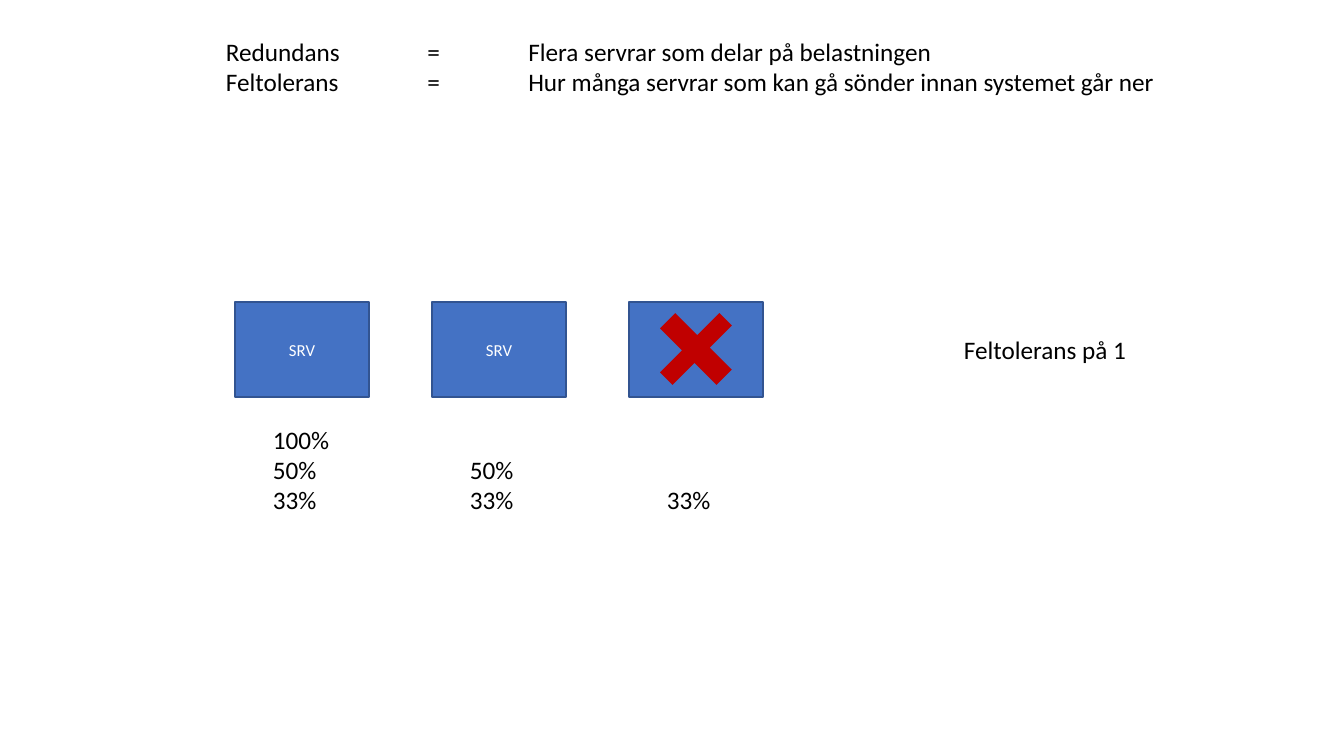
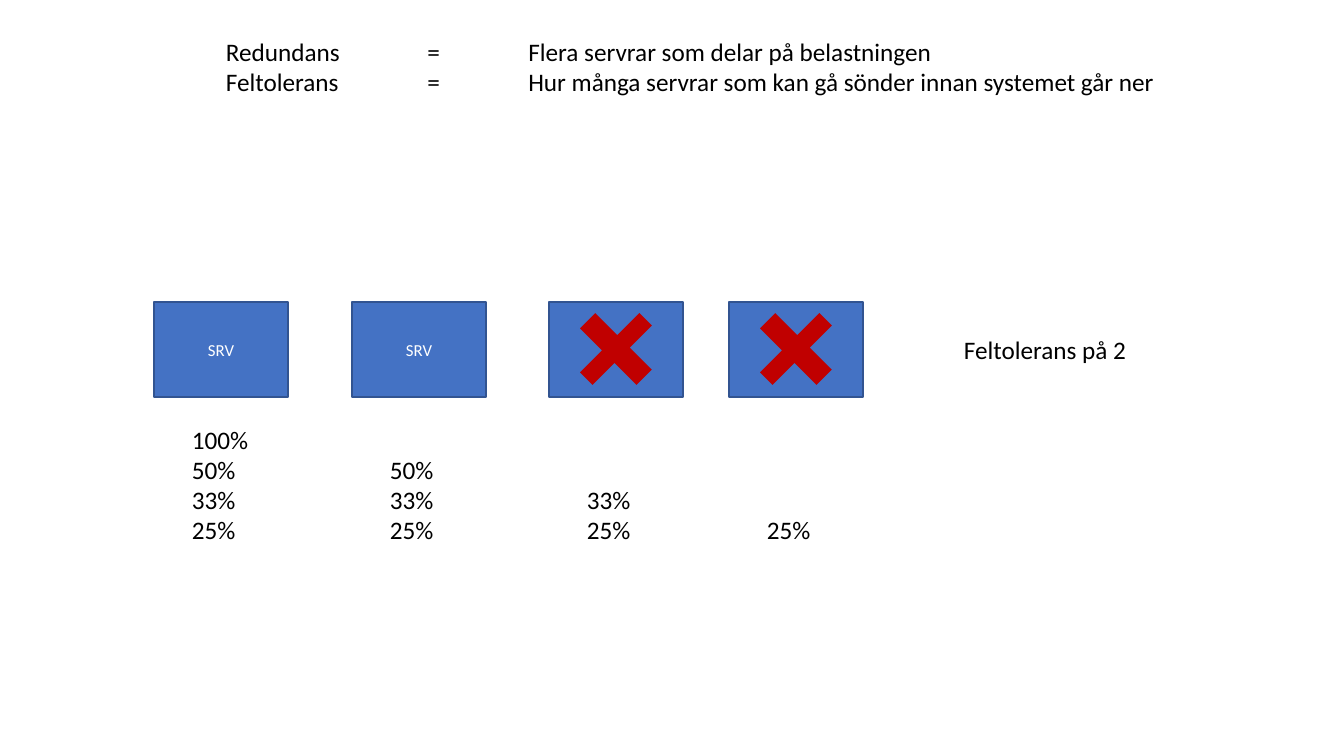
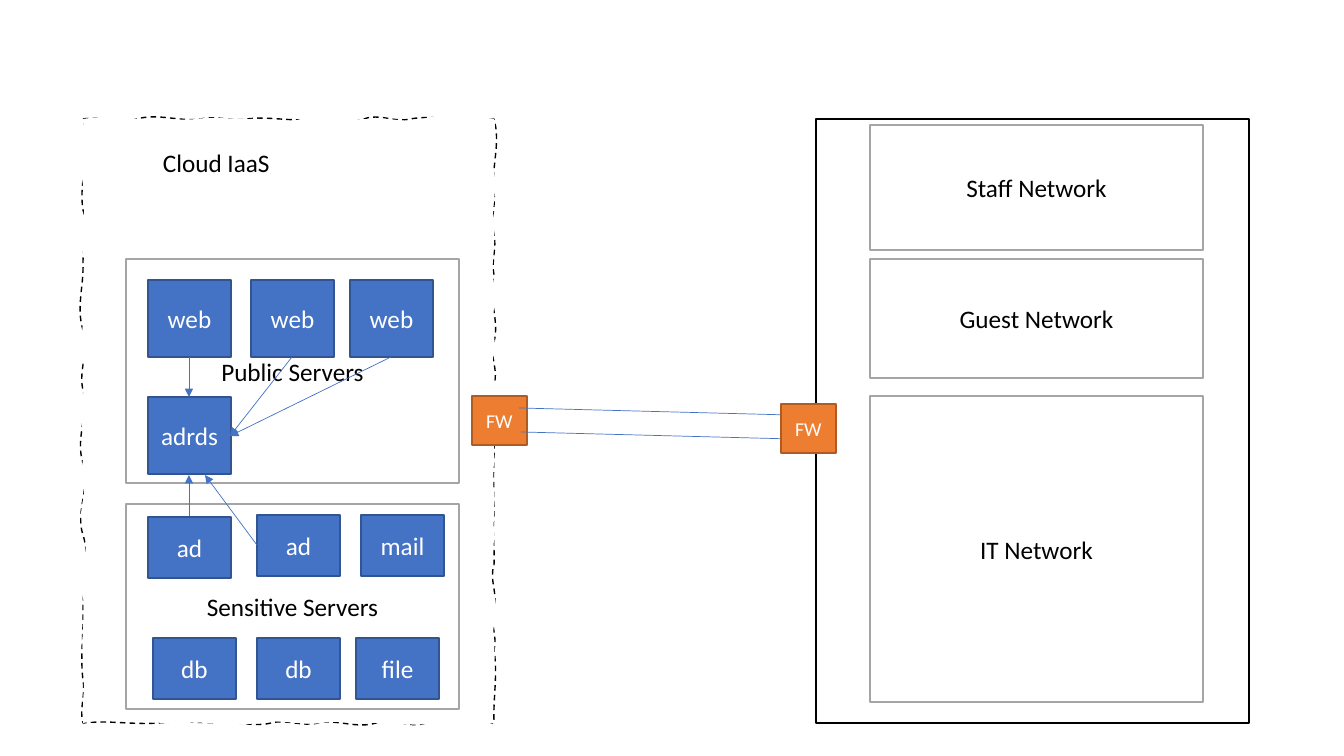
from lxml import etree
from pptx import Presentation
from pptx.dml.color import RGBColor
from pptx.enum.dml import MSO_LINE
from pptx.enum.shapes import MSO_CONNECTOR, MSO_SHAPE
from pptx.enum.text import MSO_ANCHOR, PP_ALIGN
from pptx.oxml.ns import qn
from pptx.util import Pt

RECTANGLE, CROSS = MSO_SHAPE.RECTANGLE, MSO_SHAPE.CROSS
STRAIGHT, DASH = MSO_CONNECTOR.STRAIGHT, MSO_LINE.DASH
TOP, BOTTOM, CENTER = MSO_ANCHOR.TOP, MSO_ANCHOR.BOTTOM, PP_ALIGN.CENTER

# Shared style
SCALE = 914400 / 100.8
FONT = "Calibri"
TAB_WIDTH = "914400"
COLORS = {
    "white": "FFFFFF", "black": "000000", "gray": "A5A5A5",
    "blue": "4472C4", "navy": "325491",
    "orange": "ED7D31", "brown": "AF5C24", "red": "C00000",
}
# Box styles: fill, line, text
SERVER = ("blue", "navy", "white")
FIREWALL = ("orange", "brown", "white")
ZONE = ("white", "gray", "black")
SITE = ("white", "black", "black")

DEFINITIONS = [
    "Redundans\t= \tFlera servrar som delar på belastningen",
    "Feltolerans\t=\tHur många servrar som kan gå sönder innan systemet går ner",
]
SHARES = ["100%", "50%", "33%", "25%"]

# Wavy cloud: top, right, bottom and left edges of (end of wave, first bend, second bend)
CLOUD_LEFT, CLOUD_TOP, CLOUD_RIGHT, CLOUD_BOTTOM = 83, 119, 494, 723
BORDER_WAVES = [
    [(137, -3, 5), (201, -6, 3), (247, -4, 3), (313, -3, 3),
     (364, -4, 5), (410, -6, 4), (494, -5, 5)],
    [(192, 7, -3), (234, 2, -4), (275, 3, -3), (342, -7, 6),
     (384, -5, 5), (457, -2, 1), (517, -1, 0), (565, -2, 1),
     (608, -5, 4), (650, -5, 4), (723, 4, -1)],
    [(426, 2, -6), (376, 6, -6), (318, 6, -4), (271, 4, -4),
     (225, 4, -1), (158, 0, -2), (83, 2, -3)],
    [(680, -4, 3), (608, -3, 1), (535, 0, 8), (463, -8, 8), (390, -8, 6),
     (330, -5, 7), (263, -7, 1), (210, 0, 6), (119, -5, 10)],
]
FILL_WAVES = [
    [(133, -3, 1), (197, -1, 2), (251, -3, 1), (301, -1, 5),
     (368, -6, 2), (422, -3, 5), (494, -6, 0)],
    [(173, 4, -5), (222, 4, -3), (287, 2, -4), (336, 3, -4),
     (378, 3, -5), (445, 4, -2), (493, 1, -2), (535, 1, -1),
     (596, 0, -6), (644, 6, -4), (723, 3, -7)],
    [(434, 5, -4), (368, 4, -1), (322, 1, -3), (255, 3, -5),
     (187, 5, -2), (83, 2, -7)],
    [(656, -1, 3), (596, -2, 2), (523, -2, 7), (481, -6, 5), (432, -4, 5),
     (360, -5, 5), (318, -4, 0), (252, 0, 5), (185, -4, 5), (119, -4, 2)],
]


def px(value):
    return round(value * SCALE)


def color(name):
    return RGBColor.from_string(COLORS[name])


def style_paragraph(para, size, text_color):
    para.font.name = FONT
    para.font.size = Pt(size)
    para.font.color.rgb = color(text_color)


def add_box(page, left, top, width, height, style, text="", size=18):
    fill, line, text_color = style
    box = page.shapes.add_shape(RECTANGLE, px(left), px(top), px(width), px(height))
    box.shadow.inherit = False
    box.fill.solid()
    box.fill.fore_color.rgb = color(fill)
    box.line.color.rgb = color(line)
    box.line.width = Pt(1)
    if text:
        para = box.text_frame.paragraphs[0]
        para.text = text
        para.alignment = CENTER
        style_paragraph(para, size, text_color)


def add_text(page, left, top, width, height, lines, anchor=TOP):
    frame = page.shapes.add_textbox(px(left), px(top), px(width), px(height)).text_frame
    frame.word_wrap = False
    frame.vertical_anchor = anchor
    frame.text = "\n".join(lines)
    for para in frame.paragraphs:
        style_paragraph(para, 18, "black")
    return frame


def add_definitions(page):
    frame = add_text(page, 216, 31, 950, 71, DEFINITIONS)
    for properties in frame._txBody.iter(qn("a:pPr")):
        properties.set("defTabSz", TAB_WIDTH)
        tabs = etree.Element(qn("a:tabLst"))
        for count in (2, 3):
            position = str(count * int(TAB_WIDTH))
            etree.SubElement(tabs, qn("a:tab"), pos=position, algn="l")
        properties.insert(0, tabs)


def add_failure_mark(page, left, top):
    mark = page.shapes.add_shape(CROSS, px(left), px(top), px(84), px(80))
    mark.adjustments[0] = 0.39
    mark.rotation = 315
    mark.shadow.inherit = False
    mark.fill.solid()
    mark.fill.fore_color.rgb = color("red")
    mark.line.fill.background()


def add_arrow(page, x1, y1, x2, y2):
    arrow = page.shapes.add_connector(STRAIGHT, px(x1), px(y1), px(x2), px(y2))
    arrow.line.color.rgb = color("blue")
    arrow.line.width = Pt(0.5)
    properties = arrow.element.spPr
    etree.SubElement(properties.find(qn("a:ln")), qn("a:tailEnd"), type="triangle")
    etree.SubElement(properties, qn("a:effectLst"))


def add_point(parent, x, y):
    etree.SubElement(parent, qn("a:pt"), x=str(px(x - CLOUD_LEFT)), y=str(px(y - CLOUD_TOP)))


def add_wavy_outline(outlines, edges, **options):
    outline = etree.SubElement(
        outlines, qn("a:path"), w=str(px(CLOUD_RIGHT - CLOUD_LEFT)),
        h=str(px(CLOUD_BOTTOM - CLOUD_TOP)), **options)
    add_point(etree.SubElement(outline, qn("a:moveTo")), CLOUD_LEFT, CLOUD_TOP)
    starts = [CLOUD_LEFT, CLOUD_TOP, CLOUD_RIGHT, CLOUD_BOTTOM]
    sides = [CLOUD_TOP, CLOUD_RIGHT, CLOUD_BOTTOM, CLOUD_LEFT]
    for index, (start, side, waves) in enumerate(zip(starts, sides, edges)):
        for end, first, second in waves:
            curve = etree.SubElement(outline, qn("a:cubicBezTo"))
            third = (end - start) / 3
            for along, bend in [(start + third, first), (end - third, second), (end, 0)]:
                across = side + bend
                if index % 2:
                    add_point(curve, across, along)
                else:
                    add_point(curve, along, across)
            start = end
    etree.SubElement(outline, qn("a:close"))


def add_cloud(page):
    builder = page.shapes.build_freeform(px(CLOUD_LEFT), px(CLOUD_TOP))
    corners = [(CLOUD_RIGHT, CLOUD_TOP), (CLOUD_RIGHT, CLOUD_BOTTOM), (CLOUD_LEFT, CLOUD_BOTTOM)]
    builder.add_line_segments([(px(x), px(y)) for x, y in corners])
    cloud = builder.convert_to_shape()
    cloud.shadow.inherit = False
    cloud.fill.solid()
    cloud.fill.fore_color.rgb = color("white")
    cloud.line.color.rgb = color("black")
    cloud.line.width = Pt(1)
    cloud.line.dash_style = DASH
    # Curved border below, curved fill above it
    outlines = next(cloud.element.iter(qn("a:pathLst")))
    outlines.clear()
    add_wavy_outline(outlines, BORDER_WAVES, fill="none")
    add_wavy_outline(outlines, FILL_WAVES, stroke="0")


def add_page(deck):
    return deck.slides.add_slide(deck.slide_layouts[6])


def add_tolerance_page(deck, server_lefts, failures):
    page = add_page(deck)
    count = len(server_lefts)
    for index, left in enumerate(server_lefts):
        failed = index >= count - failures
        add_box(page, left, 302, 134, 95, SERVER, "" if failed else "SRV", 12)
        # Shares line up on their last row
        add_text(page, left + 28, 419, 65 if index else 78, 11 + 30 * count,
                 SHARES[index:count], BOTTOM)
        if failed:
            add_failure_mark(page, left + 25, 309)
    add_definitions(page)
    add_text(page, 954, 329, 184, 40, [f"Feltolerans på {failures}"])


def add_network_page(deck):
    page = add_page(deck)

    # Cloud and the link to the office
    add_cloud(page)
    add_box(page, 472, 396, 55, 49, FIREWALL, "FW", 14)
    add_arrow(page, 519, 408, 790, 415)
    add_arrow(page, 521, 432, 793, 439)
    add_box(page, 126, 504, 333, 205, ZONE, "Sensitive Servers")
    add_box(page, 126, 259, 333, 224, ZONE, "Public Servers")

    # Servers
    for left, top, height, name in [
        (148, 280, 77, "web"), (251, 280, 77, "web"), (350, 280, 77, "web"),
        (153, 638, 61, "db"), (257, 638, 61, "db"), (356, 638, 61, "file"),
        (148, 517, 61, "ad"), (257, 515, 61, "ad"), (361, 515, 61, "mail"),
        (148, 397, 77, "adrds"),
    ]:
        add_box(page, left, top, 83, height, SERVER, name)
    for ends in [
        (189, 516, 189, 475), (257, 545, 205, 475), (189, 357, 189, 397),
        (292, 357, 230, 436), (391, 357, 230, 436),
    ]:
        add_arrow(page, *ends)
    add_text(page, 153, 142, 128, 40, ["Cloud IaaS"])

    # Office networks
    add_box(page, 816, 119, 433, 604, SITE)
    for top, height, name in [
        (125, 125, "Staff Network"),
        (396, 306, "IT Network"),
        (259, 119, "Guest Network"),
    ]:
        add_box(page, 870, top, 333, height, ZONE, name)
    add_box(page, 781, 404, 55, 49, FIREWALL, "FW", 14)


def main():
    deck = Presentation()
    deck.slide_width, deck.slide_height = px(1344), px(756)
    add_tolerance_page(deck, [235, 432, 629], 1)
    add_tolerance_page(deck, [154, 352, 549, 729], 2)
    add_network_page(deck)
    deck.save("out.pptx")


main()
